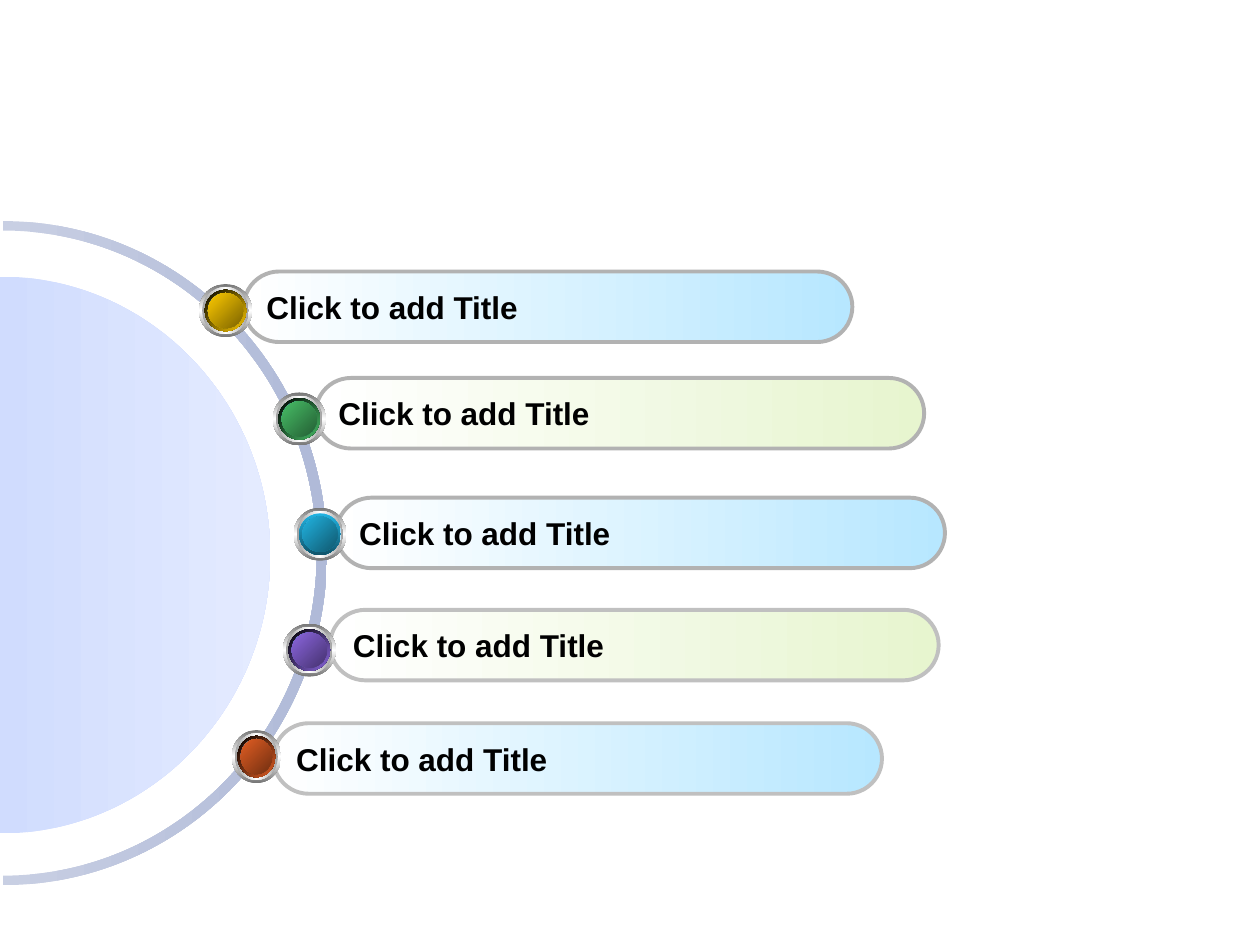
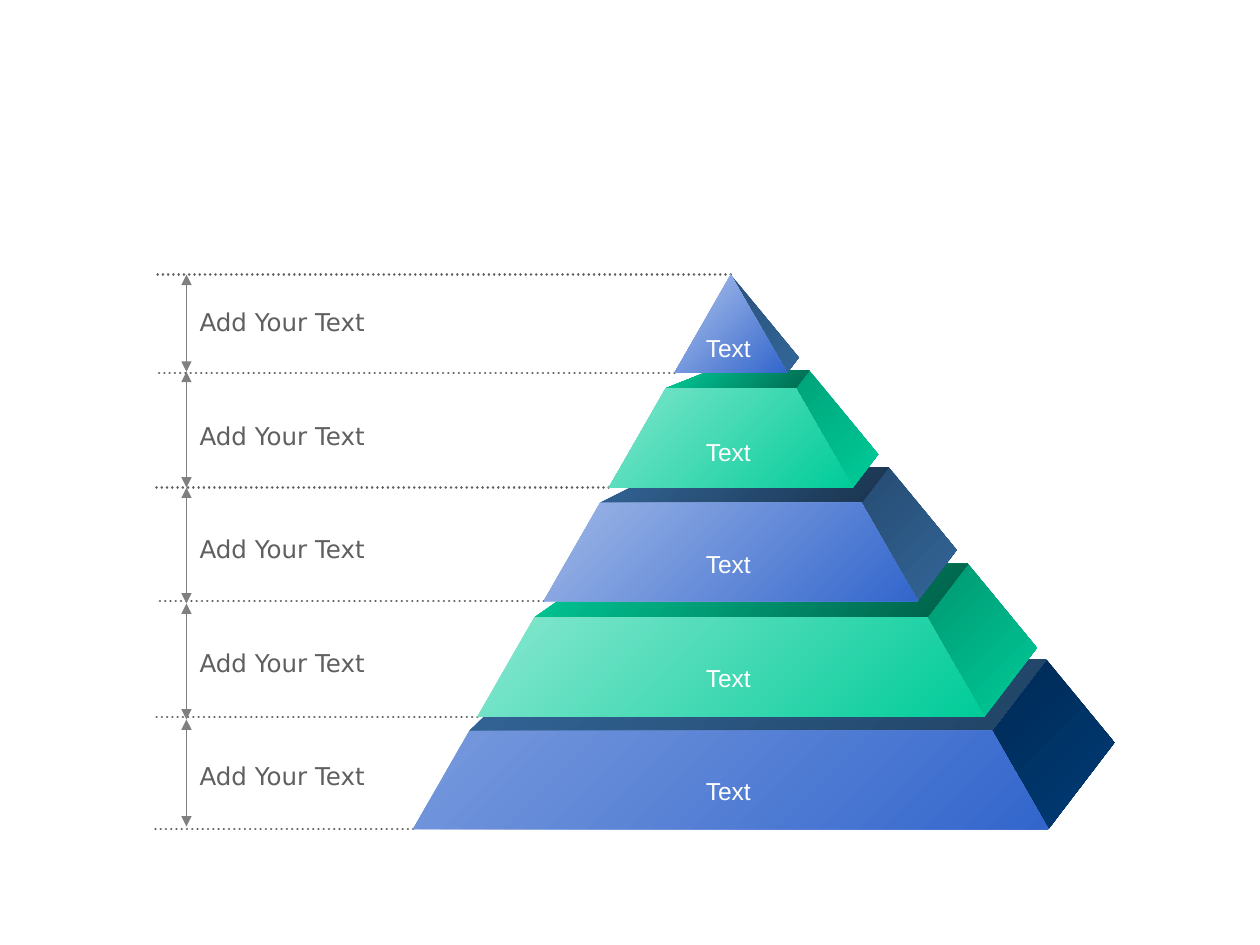
"""Build a half-ring list slide and a five-level pyramid slide."""
from dataclasses import dataclass
from typing import NamedTuple

from lxml import etree
from pptx import Presentation
from pptx.dml.color import RGBColor
from pptx.enum.dml import MSO_LINE
from pptx.enum.shapes import MSO_CONNECTOR, MSO_SHAPE
from pptx.enum.text import MSO_ANCHOR, PP_ALIGN
from pptx.oxml.ns import qn
from pptx.util import Inches, Pt

OVAL, PILL = MSO_SHAPE.OVAL, MSO_SHAPE.ROUNDED_RECTANGLE
STRAIGHT, DOTTED = MSO_CONNECTOR.STRAIGHT, MSO_LINE.ROUND_DOT
LEFT, CENTER = PP_ALIGN.LEFT, PP_ALIGN.CENTER
TOP, MIDDLE = MSO_ANCHOR.TOP, MSO_ANCHOR.MIDDLE

COLS, ROWS = 100, 75
CELL = Inches(10) / COLS

Point = tuple[float, float]
Colors = tuple[str, ...]


@dataclass(frozen=True)
class Theme:
    """Colours, fonts and sizes shared by the slides."""
    sans: str = "Arial"
    label_font: str = "DejaVu Sans"
    title_pt: float = 18
    body_pt: float = 14
    black: str = "000000"
    white: str = "FFFFFF"
    guide: str = "5F5F5F"
    arrow: str = "808080"
    edge: str = "B2B2B2"
    light_edge: str = "C0C0C0"
    sky: Colors = ("FFFFFF", "B7E7FF")
    lime: Colors = ("FFFFFF", "E7F5CF")
    ring: Colors = ("C8CFE3", "B0BAD8")
    disc: Colors = ("D0DCFE", "E4EBFF")
    chrome: Colors = ("767676", "FFFFFF", "767676")
    silver: Colors = ("A2A2A2", "FFFFFF", "A2A2A2")
    glint: Colors = ("FFFFFF", "66C5F4", "FFFFFF")
    glass: Colors = ("2F6F91", "66C5F4", "2F6F91")


T = Theme()


class Entry(NamedTuple):
    """A titled bar and the button beside it."""
    bar: Point
    button: Point
    fill: Colors
    edge: str
    gem: Colors
    rim: Colors
    rim_angle: int = 45
    button_width: float = 4.2


class Level(NamedTuple):
    """One slab of the pyramid, with depths measured from the apex."""
    upper: float
    lower: float
    front: Colors
    side: Colors
    top: Colors
    back_left: float
    caption_row: float


ENTRIES = [
    Entry((19.35, 21.55), (15.8, 22.55), T.sky, T.edge, ("FFCC00", "7C6300"),
          (T.black, "FFCC00")),
    Entry((25.05, 30), (21.65, 31.15), T.lime, T.edge, ("48BE67", "245F34"),
          (T.black, "48BE67")),
    Entry((26.7, 39.5), (23.3, 40.3), T.sky, T.edge, ("21B3E1", "10586E"),
          ("21B3E1", "10546A"), rim_angle=90),
    Entry((26.2, 48.4), (22.45, 49.5), T.lime, T.light_edge, ("8D67E1", "45326E"),
          (T.black, "8D67E1")),
    Entry((21.7, 57.4), (18.4, 57.95), T.sky, T.light_edge, ("E35E23", "712F11"),
          (T.black, "E35E23"), button_width=3.9),
]

LEVELS = [
    Level(0, 7.8, ("B1C4EC", "3366CC"), ("29517A", "336699"), (), 0, 25.9),
    Level(9, 16.9, ("80E6CC", "00CC99"), ("00A279", "00CC99"),
          ("00CC99", "006A50"), 56.4, 34.2),
    Level(18.1, 25.9, ("9FB7E7", "3366CC"), ("264B71", "336699"),
          ("336699", "1A334D"), 53.3, 43.1),
    Level(27.2, 35.1, ("88E7CF", "00CC99"), ("009671", "00CC99"),
          ("00CC99", "005D46"), 48.5, 52.1),
    Level(36.2, 44, ("789ADD", "3366CC"), ("002A55", "003B76"),
          ("336699", "214364"), 43.1, 61.1),
]

BAR_SIZE = (48.3, 5.6)
BUTTON_HEIGHT = 4.2
APEX = (58, 21.8)
FRONT_SLOPE, BACK_SLOPE, BACK_RATIO = 0.573, 0.82, 0.844
GUIDE_COL, ARROW_COL = 12.3, 14.8
ARROW_ROWS = [21.8, 29.5, 38.7, 47.9, 57.1, 65.6]
QUARTER = 0.5523


def emu(cells: float) -> int:
    """Turn grid cells into EMU."""
    return round(cells * CELL)


def paint(sp, colors: Colors, angle: int = 45) -> None:
    """Fill with evenly spaced gradient stops, clockwise angle, no line or shadow."""
    sp.shadow.inherit = False
    sp.line.fill.background()
    sp.fill.gradient()
    sp.fill.gradient_angle = -angle % 360
    stops = sp._element.spPr.find(qn("a:gradFill")).find(qn("a:gsLst"))
    for old in list(stops):
        stops.remove(old)
    for i, color in enumerate(colors):
        pos = str(round(100000 * i / (len(colors) - 1)))
        stop = etree.SubElement(stops, qn("a:gs"), pos=pos)
        etree.SubElement(stop, qn("a:srgbClr"), val=color)


def write(sp, text: str, *, size: float, color: str, font: str = T.sans,
          bold: bool = False, align=LEFT, anchor=TOP) -> None:
    """Put one formatted line of text into a shape."""
    tf = sp.text_frame
    tf.word_wrap = True
    tf.vertical_anchor = anchor
    p = tf.paragraphs[0]
    p.alignment = align
    r = p.add_run()
    r.text = text
    r.font.name, r.font.size, r.font.bold = font, Pt(size), bold
    r.font.color.rgb = RGBColor.from_string(color)


def add_box(shapes, kind, at: Point, size: Point, colors: Colors, angle: int):
    """Add a gradient preset shape."""
    sp = shapes.add_shape(kind, *map(emu, at + size))
    paint(sp, colors, angle)
    return sp


def add_text(shapes, text: str, at: Point, width: float, **fmt) -> None:
    """Add a one-line text box."""
    write(shapes.add_textbox(*map(emu, (*at, width, 3.3))), text, size=T.body_pt, **fmt)


def add_outline(shapes, points: list[Point], colors: Colors, angle: int = 45,
                curves: tuple[int, ...] = ()) -> None:
    """Add a closed gradient outline; each index in curves starts a Bézier triple."""
    first, *rest = [(emu(x), emu(y)) for x, y in dict.fromkeys(points)]
    builder = shapes.build_freeform(*first)
    builder.add_line_segments(rest, close=True)
    sp = builder.convert_to_shape()
    paint(sp, colors, angle)
    segments = list(sp._element.spPr.iter(qn("a:lnTo")))
    for i in curves:
        bezier = etree.Element(qn("a:cubicBezTo"))
        segments[i].addprevious(bezier)
        for segment in segments[i:i + 3]:
            bezier.append(segment[0])
            segment.getparent().remove(segment)


def add_line(shapes, start: Point, end: Point, color: str, width: float,
             dash=None, arrows: bool = False) -> None:
    """Add a straight line, either round-dotted or with arrowheads at both ends."""
    cxn = shapes.add_connector(STRAIGHT, *map(emu, start + end))
    cxn.line.color.rgb = RGBColor.from_string(color)
    cxn.line.width = Pt(width)
    sp_pr = cxn._element.spPr
    ln = sp_pr.find(qn("a:ln"))
    if dash:
        cxn.line.dash_style = dash
        ln.set("cap", "rnd")
    if arrows:
        for tag in ("a:headEnd", "a:tailEnd"):
            etree.SubElement(ln, qn(tag), type="triangle")
    etree.SubElement(sp_pr, qn("a:effectLst"))


def half_ellipse(center: Point, rx: float, ry: float) -> list[Point]:
    """Return Bézier points down the right half of an ellipse."""
    k = QUARTER
    unit = [(0, -1), (k, -1), (1, -k), (1, 0), (1, k), (k, 1), (0, 1)]
    return [(center[0] + rx * x, center[1] + ry * y) for x, y in unit]


def add_button(shapes, entry: Entry) -> None:
    """Draw a gem in a metal rim from concentric ovals."""
    group = shapes.add_group_shape().shapes
    x, y = entry.button
    layers = [(0, T.chrome, 90), (0.25, T.silver, 0), (0.45, T.glint, 45),
              (0.45, entry.rim, entry.rim_angle), (0.7, T.glass, 315), (0.7, entry.gem, 45)]
    for inset, colors, angle in layers:
        size = (entry.button_width - 2 * inset, BUTTON_HEIGHT - 2 * inset)
        add_box(group, OVAL, (x + inset, y + inset), size, colors, angle)


def build_ring_slide(shapes) -> None:
    """Draw the half ring with its titled bars."""
    center = (0.25, 43.9)
    outer, inner = half_ellipse(center, 25.7, 26.35), half_ellipse(center, 24.9, 25.6)
    add_outline(shapes, outer + inner[::-1], T.ring, 0, curves=(0, 3, 7, 10))
    add_outline(shapes, half_ellipse((0, 44.05), 21.45, 22.1), T.disc, 0, curves=(0, 3))
    for entry in reversed(ENTRIES):
        sp = add_box(shapes, PILL, entry.bar, BAR_SIZE, entry.fill, 0)
        sp.adjustments[0] = 0.5
        sp.line.color.rgb = RGBColor.from_string(entry.edge)
        sp.line.width = Pt(2.25)
        write(sp, "Click to add Title", size=T.title_pt, color=T.black,
              bold=True, anchor=MIDDLE)
    for entry in ENTRIES:
        add_button(shapes, entry)


def front(depth: float, side: int) -> Point:
    """Return a front-face point at a depth; side is -1 for left, 1 for right."""
    return APEX[0] + side * FRONT_SLOPE * depth, APEX[1] + depth


def back(depth: float) -> Point:
    """Return the far-edge point behind a front depth."""
    drop = BACK_RATIO * depth
    return APEX[0] + BACK_SLOPE * drop, APEX[1] + drop


def add_level(shapes, level: Level) -> None:
    """Draw the side, top and front faces of one slab."""
    upper, lower = level.upper, level.lower
    left, right, far = front(upper, -1), front(upper, 1), back(upper)
    add_outline(shapes, [front(lower, 1), right, far, back(lower)], level.side)
    if level.top:
        add_outline(shapes, [left, right, far, (level.back_left, far[1])], level.top)
    add_outline(shapes, [left, right, front(lower, 1), front(lower, -1)], level.front)


def build_pyramid_slide(shapes) -> None:
    """Draw the pyramid with its guides, arrows and labels."""
    for depth in [level.lower for level in reversed(LEVELS)] + [0]:
        mark = front(depth, -1)
        add_line(shapes, mark, (GUIDE_COL, mark[1]), T.guide, 1.5, dash=DOTTED)
    for upper, lower in zip(ARROW_ROWS, ARROW_ROWS[1:]):
        add_line(shapes, (ARROW_COL, upper), (ARROW_COL, lower), T.arrow, 0.75, arrows=True)
    for i in range(len(LEVELS)):
        add_text(shapes, "Add Your Text", (14.85, 23.9 + 9 * i), 15.9,
                 font=T.label_font, color=T.guide)
    group = shapes.add_group_shape().shapes
    for level in reversed(LEVELS):
        add_level(group, level)
    for level in LEVELS:
        add_text(group, "Text", (54.9, level.caption_row), 5.8, color=T.white, align=CENTER)


def main() -> None:
    """Build and save the presentation."""
    prs = Presentation()
    prs.slide_width, prs.slide_height = emu(COLS), emu(ROWS)
    for build in (build_ring_slide, build_pyramid_slide):
        s = prs.slides.add_slide(prs.slide_layouts[6])
        build(s.shapes)
    prs.save("out.pptx")


if __name__ == "__main__":
    main()
